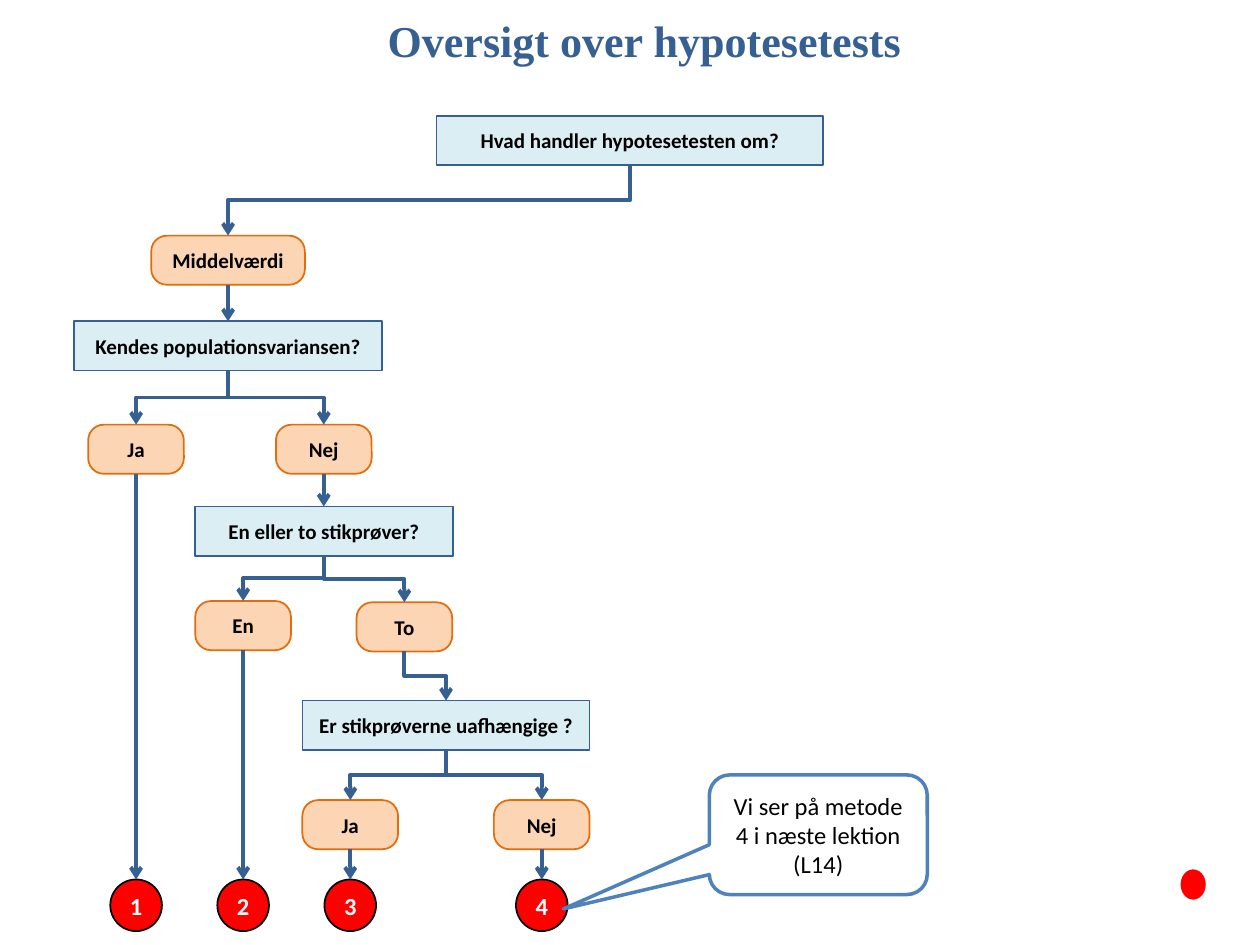
from dataclasses import dataclass

from lxml.etree import SubElement as Sub
from pptx import Presentation
from pptx.dml.color import RGBColor as Rgb
from pptx.enum.shapes import MSO_CONNECTOR as Link, MSO_SHAPE as Form
from pptx.enum.text import MSO_ANCHOR as Anchor, PP_ALIGN as Align
from pptx.oxml.ns import qn
from pptx.shapes.autoshape import Shape
from pptx.slide import Slide
from pptx.text.text import TextFrame
from pptx.util import Inches, Pt


@dataclass(frozen=True)
class Theme:
    """Colours, fonts and type sizes."""
    navy: str = "376092"
    blue: str = "4F81BD"
    pale: str = "DBEEF4"
    peach: str = "FCD5B5"
    orange: str = "E46C0A"
    red: str = "FF0000"
    black: str = "000000"
    white: str = "FFFFFF"
    body: str = "Calibri"
    serif: str = "Times New Roman"
    head: float = 25.2
    label: float = 12
    large: float = 14


THEME = Theme()


@dataclass(frozen=True)
class Kind:
    """The look shared by one sort of node."""
    form: Form
    fill: str
    line: str
    high: float = 0.39
    size: float = THEME.label
    ink: str = THEME.black
    curve: float | None = None


@dataclass(frozen=True)
class Node:
    """A step in the tree, placed by its centre line and top."""
    key: str
    text: str
    kind: Kind
    mid: float
    top: float
    wide: float
    root: str = ""


ASK = Kind(Form.RECTANGLE, THEME.pale, THEME.navy)
REPLY = Kind(Form.ROUNDED_RECTANGLE, THEME.peach, THEME.orange, curve=0.32)
GOAL = Kind(Form.OVAL, THEME.red, THEME.black, 0.41, THEME.large, THEME.white)

SLIM, DISC, BASE = 0.76, 0.41, 6.98
NODES = (
    Node("topic", "Hvad handler hypotesetesten om?", ASK, 5, 0.92, 3.07),
    Node("mean", "Middelværdi", REPLY, 1.81, 1.87, 1.22, "topic"),
    Node("known", "Kendes populationsvariansen?", ASK, 1.81, 2.55, 2.44, "mean"),
    Node("known yes", "Ja", REPLY, 1.08, 3.37, SLIM, "known"),
    Node("known no", "Nej", REPLY, 2.57, 3.37, SLIM, "known"),
    Node("count", "En eller to stikprøver?", ASK, 2.57, 4.02, 2.05, "known no"),
    Node("one", "En", REPLY, 1.93, 4.77, SLIM, "count"),
    Node("two", "To", REPLY, 3.21, 4.78, SLIM, "count"),
    Node("free", "Er stikprøverne uafhængige ?", ASK, 3.54, 5.56, 2.28, "two"),
    Node("free yes", "Ja", REPLY, 2.78, 6.35, SLIM, "free"),
    Node("free no", "Nej", REPLY, 4.3, 6.35, SLIM, "free"),
    Node("goal 1", "1", GOAL, 1.08, BASE, DISC, "known yes"),
    Node("goal 2", "2", GOAL, 1.93, BASE, DISC, "one"),
    Node("goal 3", "3", GOAL, 2.78, BASE, DISC, "free yes"),
    Node("goal 4", "4", GOAL, 4.3, BASE, DISC, "free no"),
)


def write(frame: TextFrame, text: str, *, size: float = THEME.label,
          ink: str = THEME.black, font: str = THEME.body, bold: bool = True) -> None:
    """Set centred text in a frame."""
    frame.word_wrap = True
    frame.vertical_anchor = Anchor.MIDDLE
    line = frame.paragraphs[0]
    line.alignment = Align.CENTER
    run = line.add_run()
    run.text = text
    run.font.size, run.font.bold, run.font.name = Pt(size), bold, font
    run.font.color.rgb = Rgb.from_string(ink)


def add_form(slide: Slide, form: Form, box: tuple[float, ...], fill: str,
             line: str = "", width: float = 1) -> Shape:
    """Add a flat shape with a fill and, if a colour is given, a line."""
    shape = slide.shapes.add_shape(form, *map(Inches, box))
    shape.shadow.inherit = False
    shape.fill.solid()
    shape.fill.fore_color.rgb = Rgb.from_string(fill)
    if line:
        shape.line.color.rgb = Rgb.from_string(line)
        shape.line.width = Pt(width)
    else:
        shape.line.fill.background()
    return shape


def add_node(slide: Slide, node: Node) -> Shape:
    """Draw one step of the tree."""
    kind = node.kind
    box = (node.mid - node.wide / 2, node.top, node.wide, kind.high)
    shape = add_form(slide, kind.form, box, kind.fill, kind.line)
    if kind.curve is not None:
        shape.adjustments[0] = kind.curve
    frame = shape.text_frame
    frame.margin_left = frame.margin_right = 0
    write(frame, node.text, size=kind.size, ink=kind.ink)
    return shape


def add_link(slide: Slide, head: Node, tail: Node, start: Shape, end: Shape) -> None:
    """Join two steps with an arrow that leaves and arrives vertically."""
    bent = head.mid != tail.mid
    low = head.top + head.kind.high
    ends = map(Inches, (head.mid, low, tail.mid, tail.top))
    link = slide.shapes.add_connector(Link.ELBOW if bent else Link.STRAIGHT, *ends)
    link.begin_connect(start, 2)
    link.end_connect(end, 0)
    link.line.color.rgb = Rgb.from_string(THEME.navy)
    link.line.width = Pt(2.25)
    props = link._element.spPr
    Sub(props.find(qn("a:ln")), qn("a:tailEnd"), type="arrow")
    Sub(props, qn("a:effectLst"))
    if bent:
        turn(link, head.mid < tail.mid)


def turn(link, right: bool) -> None:
    """Turn an elbow so that its first leg runs down."""
    left, top, wide, high = link.left, link.top, link.width, link.height
    link.left, link.top = left + (wide - high) // 2, top + (high - wide) // 2
    link.width, link.height = high, wide
    frame = link._element.spPr.find(qn("a:xfrm"))
    frame.set("rot", str((270 if right else 90) * 60000))
    frame.set("flipH", "1" if right else "0")


def add_tree(slide: Slide) -> None:
    """Draw each step and its link to the step above."""
    drawn: dict[str, tuple[Node, Shape]] = {}
    for node in NODES:
        shape = add_node(slide, node)
        drawn[node.key] = node, shape
        if node.root:
            head, start = drawn[node.root]
            add_link(slide, head, node, start, shape)


def add_title(slide: Slide, text: str) -> None:
    """Place and fill the title."""
    title = slide.shapes.title
    title.left, title.top, title.width, title.height = map(
        Inches, (0.51, 0.05, 9.21, 0.54))
    write(title.text_frame, text, size=THEME.head, ink=THEME.navy, font=THEME.serif)


def add_note(slide: Slide) -> None:
    """Draw the callout that points at the fourth method."""
    note = add_form(slide, Form.ROUNDED_RECTANGULAR_CALLOUT,
                    (5.63, 6.15, 1.73, 0.95), THEME.white, THEME.blue, 2)
    for spot, value in enumerate((-1.17, 0.62, 0.17)):
        note.adjustments[spot] = value
    write(note.text_frame, "Vi ser på metode 4 i næste lektion (L14)",
          size=THEME.large, bold=False)


def main() -> None:
    """Build and save the slide."""
    deck = Presentation()
    deck.slide_width, deck.slide_height = Inches(10), Inches(7.5)
    slide = deck.slides.add_slide(deck.slide_layouts[5])
    add_title(slide, "Oversigt over hypotesetests")
    add_tree(slide)
    add_note(slide)
    add_form(slide, Form.OVAL, (9.37, 6.9, 0.2, 0.24), THEME.red)
    deck.save("out.pptx")


if __name__ == "__main__":
    main()
